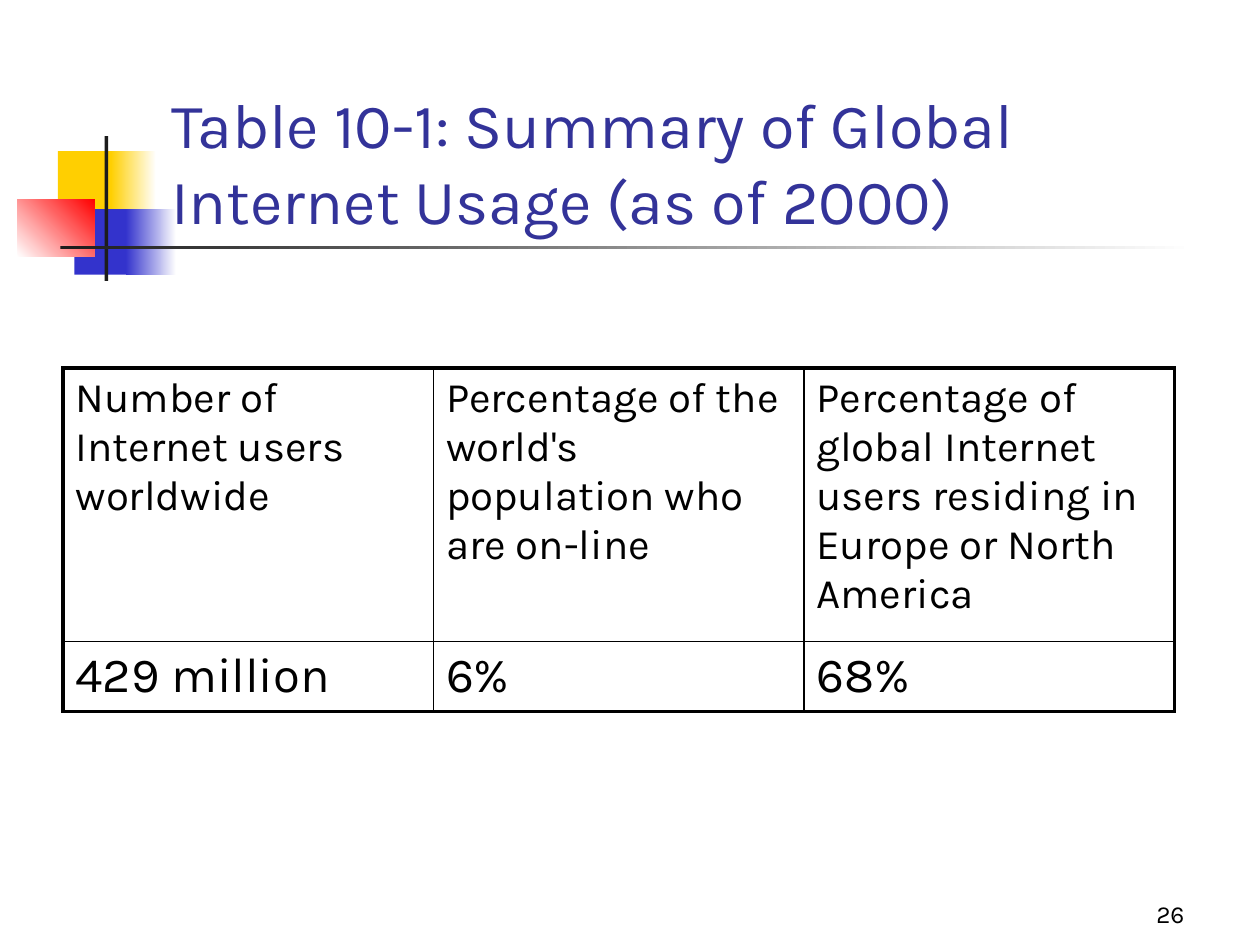
from lxml import etree
from pptx import Presentation
from pptx.dml.color import RGBColor
from pptx.enum.shapes import MSO_SHAPE as Shape
from pptx.enum.text import MSO_ANCHOR as Anchor, MSO_AUTO_SIZE as AutoSize, PP_ALIGN as Align
from pptx.oxml.ns import qn
from pptx.util import Inches, Pt

FONT = "Karla"
TITLE = "Table 10-1: Summary of Global Internet Usage (as of 2000)"
PAGE_NUMBER = "26"
ROWS = [
    (24, 2.17, ["Number of Internet users worldwide",
                "Percentage of the world's population who are on-line",
                "Percentage of global Internet users residing in Europe or North America"]),
    (28, 0.55, ["429 million", "6%", "68%"]),
]
COLUMN_WIDTH = 2.94
OUTER_LINE, INNER_LINE = 2.25, 1
DECORATIONS = [
    ((0.46, 1.2, 0.48, 0.52), ["FFCF01"], 0),
    ((0.88, 1.2, 0.36, 0.52), ["FFCF01", "FFFFFF"], 0),
    ((0.59, 1.66, 0.46, 0.52), ["3333CC"], 0),
    ((1, 1.66, 0.4, 0.52), ["3333CC", "FFFFFF"], 0),
    ((0.14, 1.58, 0.61, 0.46), ["FFFFFF", "FF0000"], 45),
    ((0.83, 1.08, 0.03, 1.15), ["1C1C1C"], 0),
    ((0.48, 1.95, 9, 0.03), ["1C1C1C", "FFFFFF"], 0),
]


def color(value):
    return RGBColor.from_string(value)


def box(*lengths):
    return [Inches(length) for length in lengths]


def write(frame, text, size, fill="000000", align=Align.LEFT, space=0):
    frame.text = text
    frame.word_wrap = True
    paragraph = frame.paragraphs[0]
    paragraph.alignment = align
    paragraph.space_before = Pt(space)
    font = paragraph.runs[0].font
    for name, value in {"name": FONT, "size": Pt(size), "bold": False}.items():
        setattr(font, name, value)
    font.color.rgb = color(fill)


def add_decoration(slide, place, colors, angle):
    shape = slide.shapes.add_shape(Shape.RECTANGLE, *box(*place))
    shape.shadow.inherit = False
    shape.line.fill.background()
    if len(colors) == 1:
        shape.fill.solid()
        shape.fill.fore_color.rgb = color(colors[0])
        return
    shape.fill.gradient()
    shape.fill.gradient_angle = angle
    for position, (stop, value) in enumerate(zip(shape.fill.gradient_stops, colors)):
        stop.position = position
        stop.color.rgb = color(value)


def set_borders(cell, widths):
    properties = cell._tc.get_or_add_tcPr()
    for index, (side, width) in enumerate(widths.items()):
        line = etree.Element(qn("a:ln" + side), w=str(Pt(width)))
        fill = etree.SubElement(line, qn("a:solidFill"))
        etree.SubElement(fill, qn("a:srgbClr"), val="000000")
        properties.insert(index, line)


def add_usage_table(slide):
    row_count, column_count = len(ROWS), len(ROWS[0][2])
    height = sum(row[1] for row in ROWS)
    place = box(0.5, 2.92, COLUMN_WIDTH * column_count, height)
    table = slide.shapes.add_table(row_count, column_count, *place).table
    table.first_row = table.horz_banding = False
    for column in table.columns:
        column.width = Inches(COLUMN_WIDTH)
    for r, (size, row_height, texts) in enumerate(ROWS):
        table.rows[r].height = Inches(row_height)
        for c, text in enumerate(texts):
            cell = table.cell(r, c)
            cell.fill.background()
            write(cell.text_frame, text, size, space=size * 0.2)
            edges = {"L": c == 0, "R": c == column_count - 1,
                     "T": r == 0, "B": r == row_count - 1}
            set_borders(cell, {side: OUTER_LINE if outer else INNER_LINE
                               for side, outer in edges.items()})


presentation = Presentation()
presentation.slide_width, presentation.slide_height = box(10, 7.5)
slide = presentation.slides.add_slide(presentation.slide_layouts[5])

for decoration in DECORATIONS:
    add_decoration(slide, *decoration)

title = slide.shapes.title
title.element.getparent().append(title.element)
title.left, title.top, title.width, title.height = box(1.26, 0.68, 8.52, 1.25)
write(title.text_frame, TITLE, 36, "333399")

add_usage_table(slide)

page_number = slide.shapes.add_textbox(*box(7.42, 6.92, 2.08, 0.5))
write(page_number.text_frame, PAGE_NUMBER, 14, align=Align.RIGHT)

for shape in (title, page_number):
    shape.text_frame.auto_size = AutoSize.NONE
    shape.text_frame.vertical_anchor = Anchor.BOTTOM

presentation.save("out.pptx")
